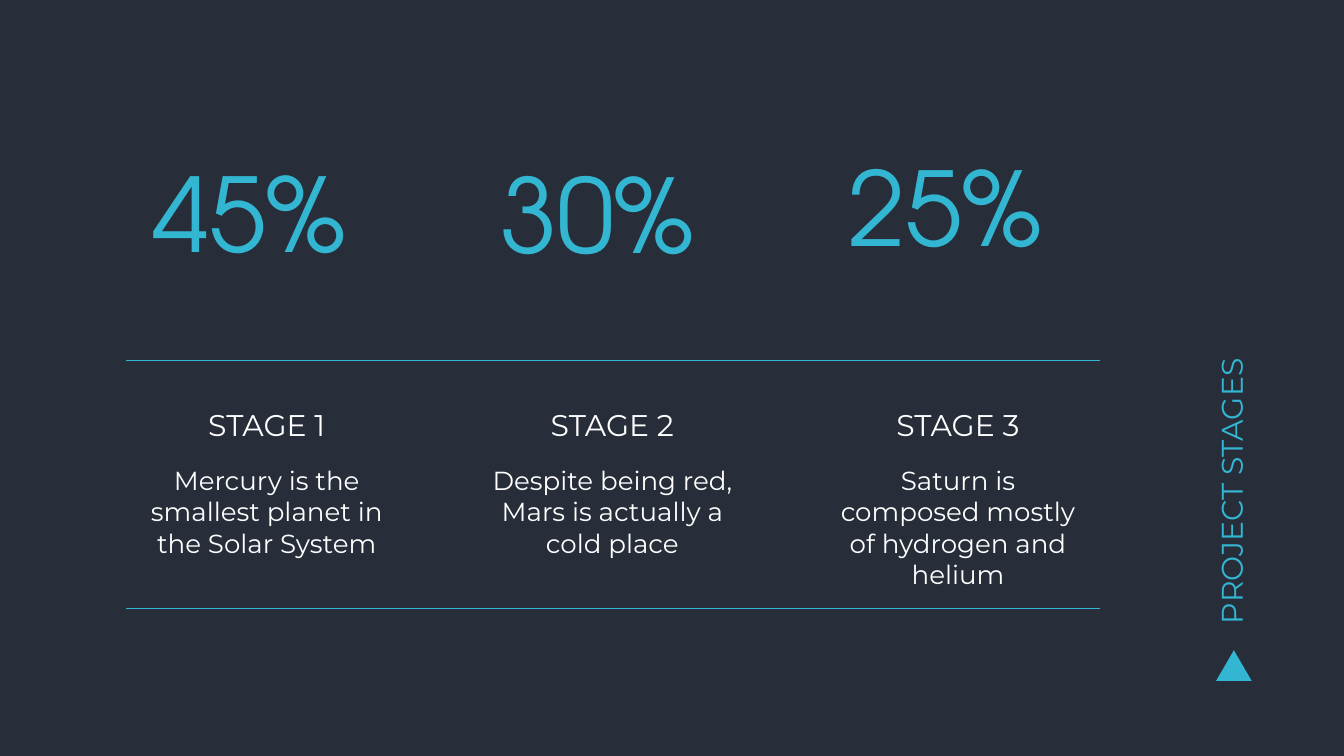
"""Build the project stages slide with three shares and their stage texts."""
from lxml.etree import SubElement
from pptx import Presentation
from pptx.dml.color import RGBColor as RGB
from pptx.enum.shapes import MSO_CONNECTOR as LINE, MSO_SHAPE as SHAPE
from pptx.enum.text import MSO_ANCHOR as ANCHOR, MSO_AUTO_SIZE as FIT, PP_ALIGN as ALIGN
from pptx.oxml.ns import qn
from pptx.util import Cm, Pt

HUES = {"back": "272E3A", "teal": "33B6D2", "white": "FFFFFF"}
SANS, ROUND = "Montserrat", "TeX Gyre Adventor"
STAGES = [
    ("45%", 6.63, "STAGE 1", "Mercury is the smallest planet in the Solar System"),
    ("30%", 6.71, "STAGE 2", "Despite being red, Mars is actually a cold place"),
    ("25%", 6.35, "STAGE 3", "Saturn is composed mostly of hydrogen and helium"),
]


def hue(name):
    return RGB.from_string(HUES[name])


def write(box, text, size, face, tint, anchor, align=ALIGN.CENTER, space=0.9):
    frame = box.text_frame
    frame.word_wrap = True
    frame.auto_size = FIT.NONE
    frame.vertical_anchor = anchor
    frame.margin_left = frame.margin_right = Cm(0.68)
    frame.margin_top = frame.margin_bottom = Cm(0.68)
    para = frame.paragraphs[0]
    para.alignment = align
    para.line_spacing = space
    run = para.add_run()
    run.text = text
    run.font.name = face
    run.font.size = Pt(size)
    run.font.color.rgb = hue(tint)


deck = Presentation()
deck.slide_width, deck.slide_height = Cm(67.74), Cm(38.1)
slide = deck.slides.add_slide(deck.slide_layouts[5])
slide.background.fill.solid()
slide.background.fill.fore_color.rgb = hue("back")
shapes = slide.shapes

title = shapes.title
title.left, title.top = Cm(47.32), Cm(15.8)
title.width, title.height = Cm(28.42), Cm(4.24)
title.rotation = 270
write(title, "PROJECT STAGES", 42.7, SANS, "teal", ANCHOR.BOTTOM, ALIGN.LEFT)

mark = shapes.add_shape(SHAPE.ISOSCELES_TRIANGLE, Cm(61.29), Cm(32.77), Cm(1.8), Cm(1.55))
mark.shadow.inherit = False
mark.fill.solid()
mark.fill.fore_color.rgb = hue("teal")
mark.line.fill.background()

for i, (share, top, name, note) in enumerate(STAGES):
    left = Cm(6.27 + 17.42 * i)
    head = shapes.add_textbox(left, Cm(18.67), Cm(14.35), Cm(4.34))
    write(head, name, 42.7, SANS, "white", ANCHOR.BOTTOM)
    body = shapes.add_textbox(left, Cm(22.73), Cm(14.35), Cm(5.72))
    write(body, note, 37.3, SANS, "white", ANCHOR.TOP, space=1.0)
    figure = shapes.add_textbox(Cm(6.35 + 17.55 * i), Cm(top), Cm(12.42), Cm(8.81))
    write(figure, share, 146.7, ROUND, "teal", ANCHOR.MIDDLE)

for y in (18.14, 30.66):
    rule = shapes.add_connector(LINE.STRAIGHT, Cm(6.35), Cm(y), Cm(55.42), Cm(y))
    rule.line.color.rgb = hue("teal")
    rule.line.width = Pt(0.75)
    SubElement(rule._element.spPr, qn("a:effectLst"))

deck.save("out.pptx")
